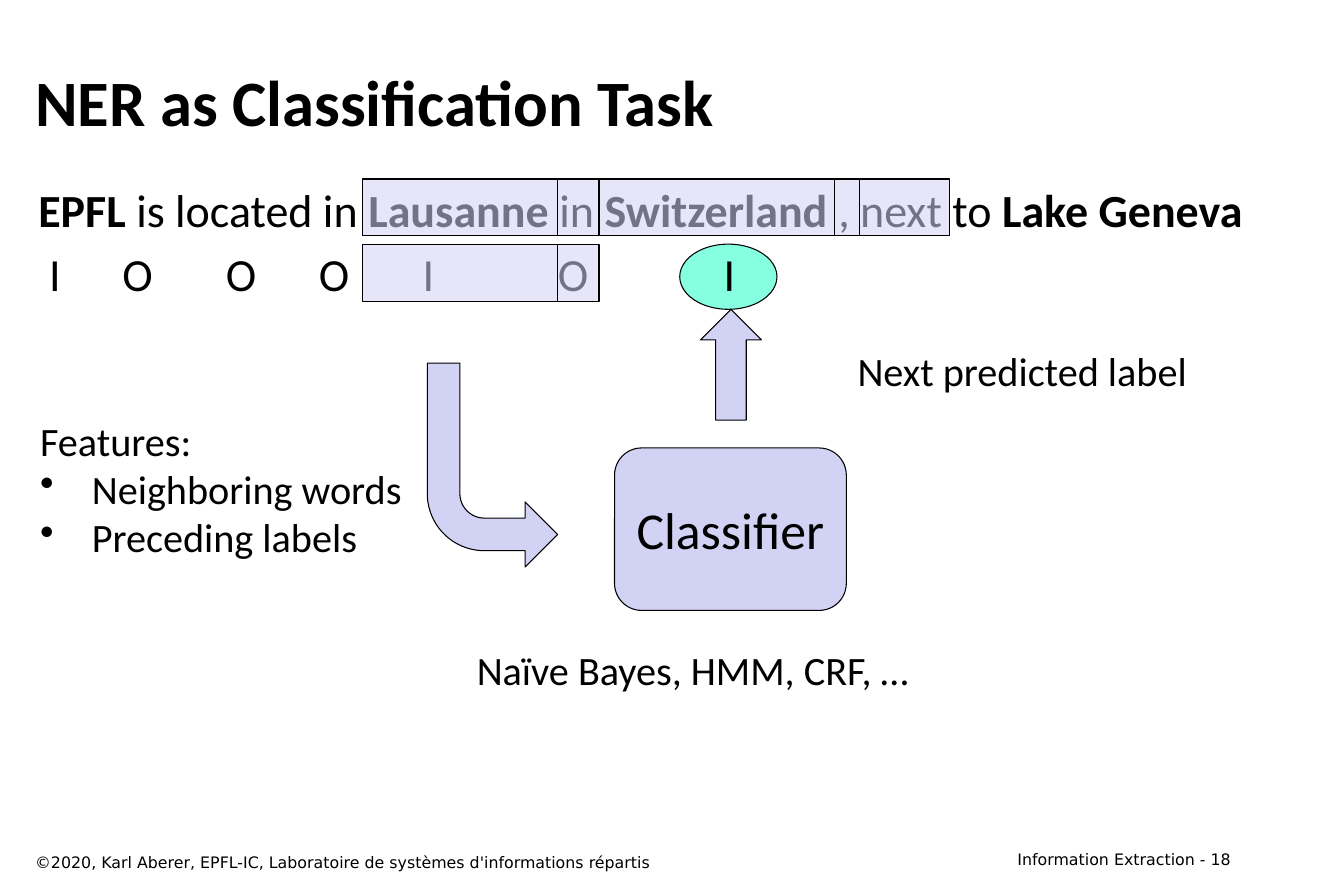
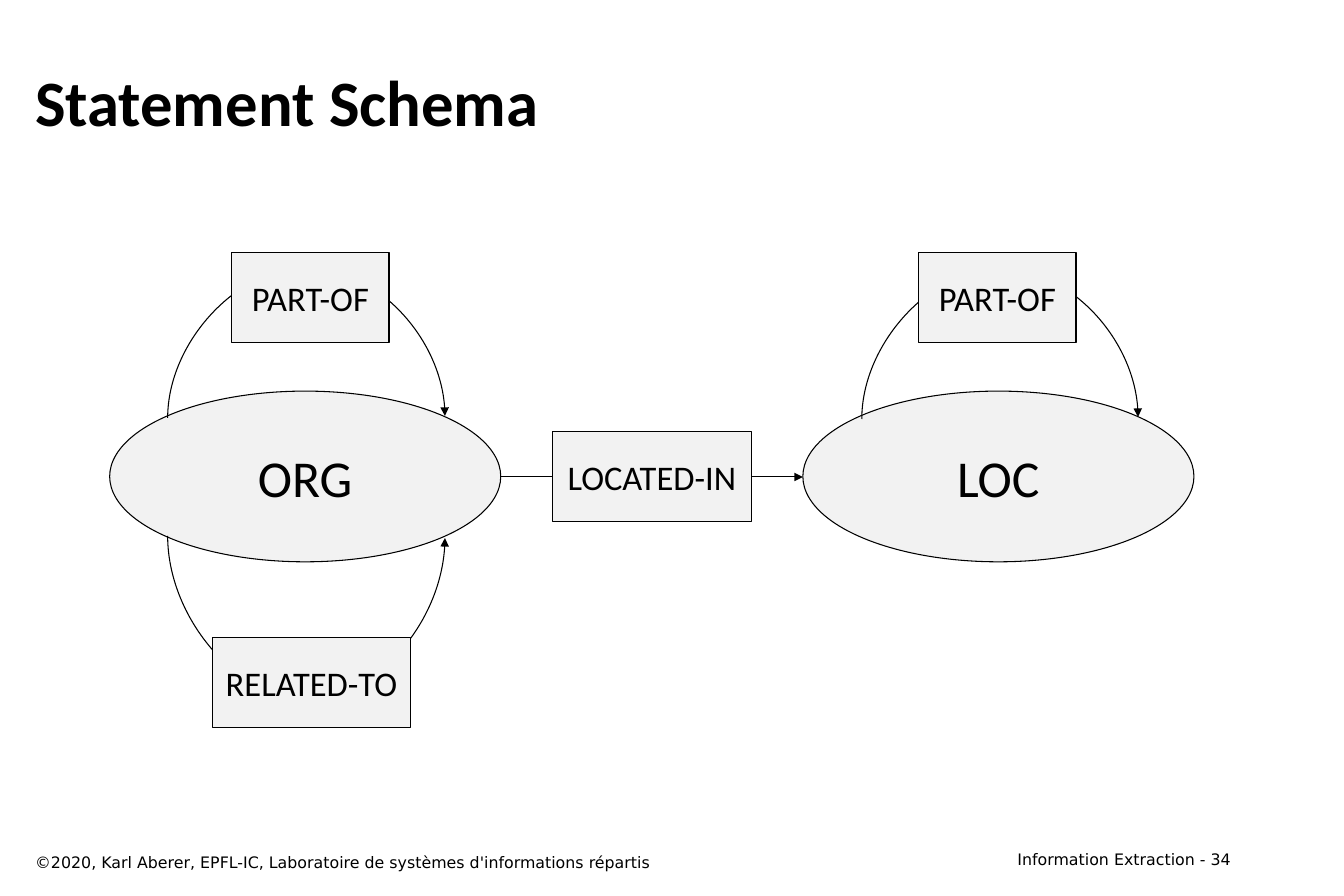
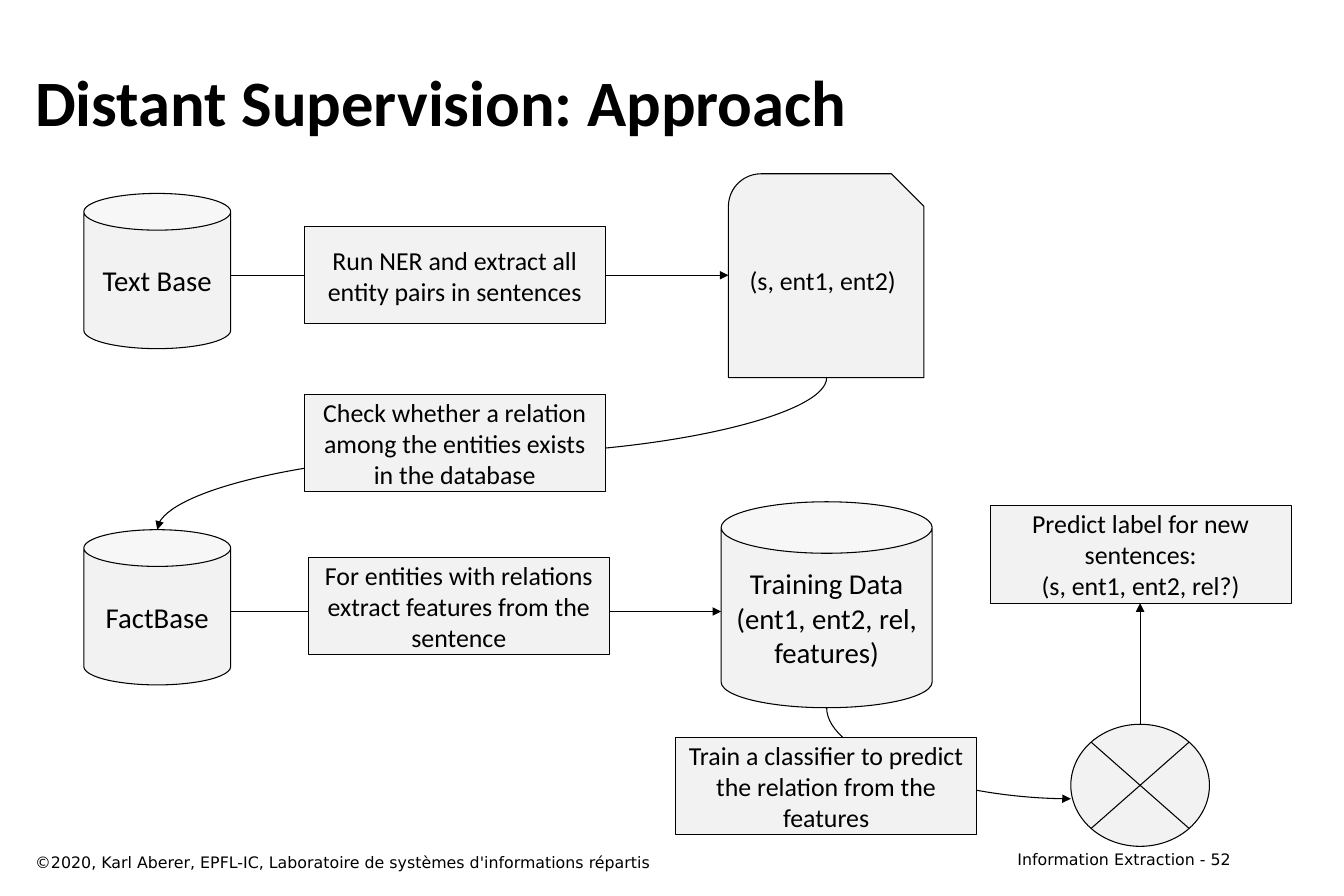
from dataclasses import dataclass
from itertools import pairwise
from typing import Any, Optional

from lxml.etree import SubElement
from pptx import Presentation
from pptx.dml.color import RGBColor
from pptx.enum.shapes import MSO_CONNECTOR as Link, MSO_SHAPE as Kind
from pptx.enum.text import MSO_ANCHOR as Anchor, PP_ALIGN as Align
from pptx.oxml.ns import qn
from pptx.util import Inches, Pt

COLORS = {"ink": "000000", "lavender": "D2D2F4", "mint": "85FFE0", "grey": "F2F2F2"}
BODY_FONT = "Calibri"
FOOTER_FONT = "DejaVu Sans"
COPYRIGHT = "©2020, Karl Aberer, EPFL-IC, Laboratoire de systèmes d'informations répartis"
WIDE_INSETS = (0.12, 0.06)
PLAIN_INSETS = (0.1, 0.05)
LINE_WIDTH = 0.75

Point = tuple[float, float]
Box = tuple[float, float, float, float]


@dataclass
class Node:
    kind: Any
    at: Box
    lines: tuple[str, ...] = ()
    size: int = 18
    fill: str = "grey"
    opacity: Optional[int] = None
    rotation: int = 0
    mirrored: bool = False


@dataclass
class Curve:
    start: Point
    end: Point
    rotation: int
    flips: tuple[str, ...] = ()
    preset: str = "curvedConnector3"
    depth: Optional[float] = None


@dataclass
class Label:
    at: Box
    lines: tuple[str, ...]
    size: int = 28
    font: str = BODY_FONT
    bold: bool = False
    align: Any = Align.LEFT
    anchor: Any = Anchor.TOP
    insets: Point = PLAIN_INSETS
    wrap: bool = True
    bulleted_from: Optional[int] = None


def rgb(name: str) -> RGBColor:
    return RGBColor.from_string(COLORS[name])


def set_all(target: Any, values: dict[str, Any]) -> None:
    for attribute, value in values.items():
        setattr(target, attribute, value)


def add_run(paragraph: Any, text: str, size: int, font: str = BODY_FONT, bold: bool = False) -> None:
    run = paragraph.add_run()
    run.text = text
    set_all(run.font, {"size": Pt(size), "name": font, "bold": bold})
    run.font.color.rgb = rgb("ink")


def set_frame(frame: Any, insets: Point, anchor: Any, wrap: bool = True) -> None:
    side, edge = (Inches(inset) for inset in insets)
    set_all(frame, {
        "margin_left": side, "margin_right": side,
        "margin_top": edge, "margin_bottom": edge,
        "vertical_anchor": anchor, "word_wrap": wrap,
    })


def paragraphs(frame: Any, count: int) -> list[Any]:
    return [frame.paragraphs[0], *(frame.add_paragraph() for _ in range(count - 1))]


def add_bullet(paragraph: Any, indent: float) -> None:
    properties = paragraph._p.get_or_add_pPr()
    properties.set("marL", str(Inches(indent)))
    properties.set("indent", str(-Inches(indent)))
    SubElement(properties, qn("a:buChar"), char="•")


def add_label(slide: Any, label: Label) -> None:
    frame = slide.shapes.add_textbox(*map(Inches, label.at)).text_frame
    set_frame(frame, label.insets, label.anchor, label.wrap)
    for index, (paragraph, text) in enumerate(zip(paragraphs(frame, len(label.lines)), label.lines)):
        if label.bulleted_from is not None and index >= label.bulleted_from:
            add_bullet(paragraph, 0.5)
        paragraph.alignment = label.align
        add_run(paragraph, text, label.size, label.font, label.bold)


def add_node(slide: Any, node: Node) -> None:
    shape = slide.shapes.add_shape(node.kind, *map(Inches, node.at))
    shape.shadow.inherit = False
    shape.rotation = node.rotation
    if node.mirrored:
        shape._element.spPr.xfrm.set("flipH", "1")
    shape.fill.solid()
    shape.fill.fore_color.rgb = rgb(node.fill)
    if node.opacity is not None:
        color = shape._element.spPr.find(qn("a:solidFill")).find(qn("a:srgbClr"))
        SubElement(color, qn("a:alpha"), val=str(node.opacity * 1000))
    shape.line.color.rgb = rgb("ink")
    shape.line.width = Pt(LINE_WIDTH)
    if node.lines:
        frame = shape.text_frame
        set_frame(frame, PLAIN_INSETS, Anchor.MIDDLE)
        for paragraph, text in zip(paragraphs(frame, len(node.lines)), node.lines):
            paragraph.alignment = Align.CENTER
            add_run(paragraph, text, node.size)


def add_arrow(slide: Any, start: Point, end: Point, link: Any = Link.STRAIGHT) -> Any:
    arrow = slide.shapes.add_connector(link, *map(Inches, (*start, *end)))
    arrow.line.color.rgb = rgb("ink")
    arrow.line.width = Pt(LINE_WIDTH)
    SubElement(arrow.line._get_or_add_ln(), qn("a:tailEnd"), type="triangle")
    SubElement(arrow._element.spPr, qn("a:effectLst"))
    return arrow


def add_curve(slide: Any, curve: Curve) -> None:
    (x1, y1), (x2, y2) = curve.start, curve.end
    along, across = abs(y2 - y1), abs(x2 - x1)
    left, top = (x1 + x2 - along) / 2, (y1 + y2 - across) / 2
    arrow = add_arrow(slide, (left, top), (left + along, top + across), Link.CURVE)
    properties = arrow._element.spPr
    properties.xfrm.set("rot", str(curve.rotation * 60000))
    for flip in curve.flips:
        properties.xfrm.set(flip, "1")
    geometry = properties.find(qn("a:prstGeom"))
    geometry.set("prst", curve.preset)
    if curve.depth is not None:
        bend = round(curve.depth / along * 100000)
        SubElement(geometry.find(qn("a:avLst")), qn("a:gd"), name="adj1", fmla=f"val {bend}")


def add_slide(deck: Any, title: str, number: int) -> Any:
    slide = deck.slides.add_slide(deck.slide_layouts[6])
    for label in (
        Label((9.31, 8.15, 2.71, 0.29), (f"Information Extraction - {number}",), 11, FOOTER_FONT,
              align=Align.RIGHT, insets=WIDE_INSETS),
        Label((0.22, 0.39, 11.8, 1.16), (title,), 45, bold=True,
              anchor=Anchor.MIDDLE, insets=WIDE_INSETS),
        Label((0.22, 8.18, 8.34, 0.29), (COPYRIGHT,), 11, FOOTER_FONT, insets=WIDE_INSETS),
    ):
        add_label(slide, label)
    return slide


def add_tagged_sentence(slide: Any) -> None:
    words = (("EPFL", True), (" is located in ", False), ("Lausanne", True), (" in ", False),
             ("Switzerland ", True), (", next to ", False), ("Lake Geneva", True))
    tags = (("I", 0.16), ("O", 0.96), ("O", 1.96), ("O", 2.86), ("I", 3.77), ("O", 5.17), ("I", 6.68))
    frame = slide.shapes.add_textbox(*map(Inches, (0.25, 1.69, 11.99, 6.35))).text_frame
    set_frame(frame, WIDE_INSETS, Anchor.TOP)
    sentence, tagging = paragraphs(frame, 2)
    for word, bold in words:
        add_run(sentence, word, 32, bold=bold)
    tagging.space_before = Pt(6.4)
    stops = SubElement(tagging._p.get_or_add_pPr(), qn("a:tabLst"))
    for _, position in tags:
        SubElement(stops, qn("a:tab"), pos=str(Inches(position)), algn="ctr")
    add_run(tagging, "".join(f"\t{tag}" for tag, _ in tags), 32)


def build_classification(deck: Any) -> None:
    slide = add_slide(deck, "NER as Classification Task", 18)
    add_node(slide, Node(Kind.OVAL, (6.57, 2.36, 0.94, 0.63), fill="mint"))
    add_tagged_sentence(slide)
    word_edges = (3.5, 5.39, 5.79, 8.07, 8.31, 9.18)
    for top, edges in ((1.73, word_edges), (2.36, word_edges[:3])):
        for left, right in pairwise(edges):
            add_node(slide, Node(Kind.RECTANGLE, (left, top, right - left, 0.55),
                                 fill="lavender", opacity=55))
    for node in (
        Node(Kind.BENT_ARROW, (4.13, 3.51, 1.26, 1.97), fill="lavender", rotation=180, mirrored=True),
        Node(Kind.ROUNDED_RECTANGLE, (5.94, 4.33, 2.24, 1.57), ("Classifier",), 36, "lavender"),
        Node(Kind.UP_ARROW, (6.77, 2.99, 0.59, 1.07), fill="lavender"),
    ):
        add_node(slide, node)
    for label in (
        Label((0.29, 3.97, 3.73, 1.51), ("Features:", "Neighboring words", "Preceding labels"),
              wrap=False, bulleted_from=1),
        Label((8.19, 3.3, 3.42, 0.57), ("Next predicted label",), wrap=False),
        Label((4.51, 6.19, 4.52, 0.57), ("Naïve Bayes, HMM, CRF, …",), wrap=False),
    ):
        add_label(slide, label)


def build_schema(deck: Any) -> None:
    slide = add_slide(deck, "Statement Schema", 34)
    for entity, left in (("ORG", 1.06), ("LOC", 7.76)):
        add_node(slide, Node(Kind.OVAL, (left, 3.78, 3.78, 1.65), (entity,), 36))
    for curve in (
        Curve((1.62, 4.04), (4.3, 4.02), 90, ("flipH", "flipV"), depth=1.45),
        Curve((1.62, 5.18), (4.3, 5.2), 270, ("flipH",), depth=1.57),
        Curve((8.33, 4.05), (11, 4.03), 90, ("flipH", "flipV"), depth=1.45),
    ):
        add_curve(slide, curve)
    add_arrow(slide, (4.84, 4.61), (7.76, 4.61))
    for relation, left, top, width in (
        ("PART-OF", 2.24, 2.44, 1.52),
        ("RELATED-TO", 2.05, 6.16, 1.92),
        ("LOCATED-IN", 5.34, 4.17, 1.92),
        ("PART-OF", 8.88, 2.44, 1.52),
    ):
        add_node(slide, Node(Kind.RECTANGLE, (left, top, width, 0.87), (relation,), 24))


def build_supervision(deck: Any) -> None:
    slide = add_slide(deck, "Distant Supervision: Approach", 52)
    for node in (
        Node(Kind.CAN, (0.81, 1.87, 1.42, 1.5), ("Text Base",), 20),
        Node(Kind.SNIP_ROUND_RECTANGLE, (7.04, 1.68, 1.89, 1.97), ("(s, ent1, ent2)",)),
        Node(Kind.CAN, (0.81, 5.12, 1.42, 1.5), ("FactBase",), 20),
        Node(Kind.CAN, (6.97, 4.85, 2.04, 1.99), ("Training Data", "(ent1, ent2, rel, features)"), 20),
        Node(Kind.FLOWCHART_SUMMING_JUNCTION, (10.35, 7, 1.34, 1.18)),
    ):
        add_node(slide, node)
    for start, end in (
        ((2.23, 2.66), (7.04, 2.66)),
        ((2.23, 5.91), (6.97, 5.91)),
        ((11.02, 7), (11.02, 5.83)),
    ):
        add_arrow(slide, start, end)
    add_curve(slide, Curve((7.99, 3.65), (1.52, 5.12), 90))
    add_curve(slide, Curve((7.99, 6.84), (10.35, 7.72), 270, ("flipH",), "curvedConnector2"))
    for left, top, *step in (
        (2.94, 2.19, "Run NER and extract all entity pairs in sentences"),
        (2.94, 3.81, "Check whether a relation among the entities exists in the database"),
        (2.98, 5.39, "For entities with relations extract features from the sentence"),
        (6.53, 7.13, "Train a classifier to predict the relation from the features"),
        (9.57, 4.89, "Predict label for new sentences:", "(s, ent1, ent2, rel?)"),
    ):
        add_node(slide, Node(Kind.RECTANGLE, (left, top, 2.91, 0.94), tuple(step)))


def main() -> None:
    deck = Presentation()
    deck.slide_width, deck.slide_height = Inches(12.99), Inches(8.66)
    for build in (build_classification, build_schema, build_supervision):
        build(deck)
    deck.save("out.pptx")


if __name__ == "__main__":
    main()
